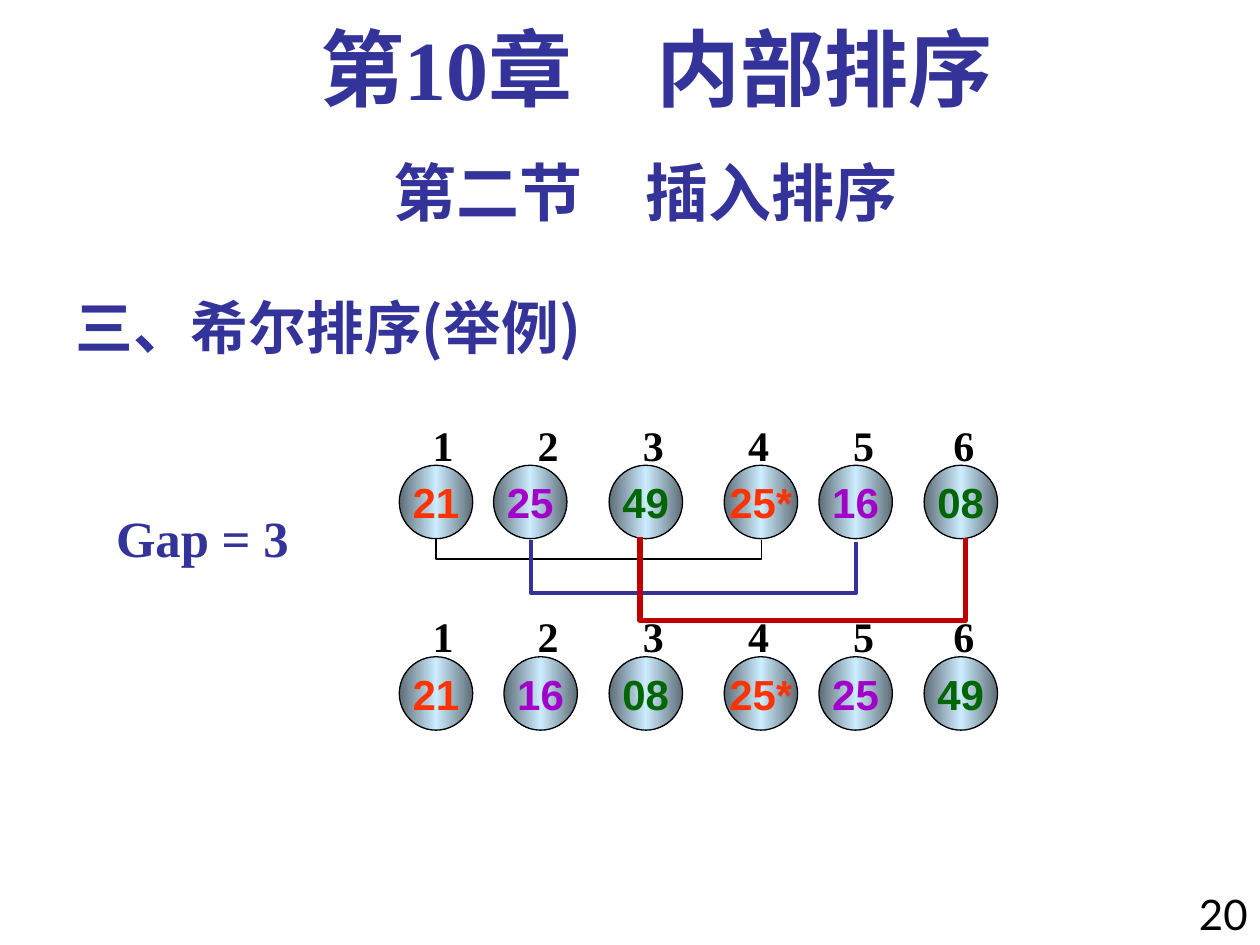
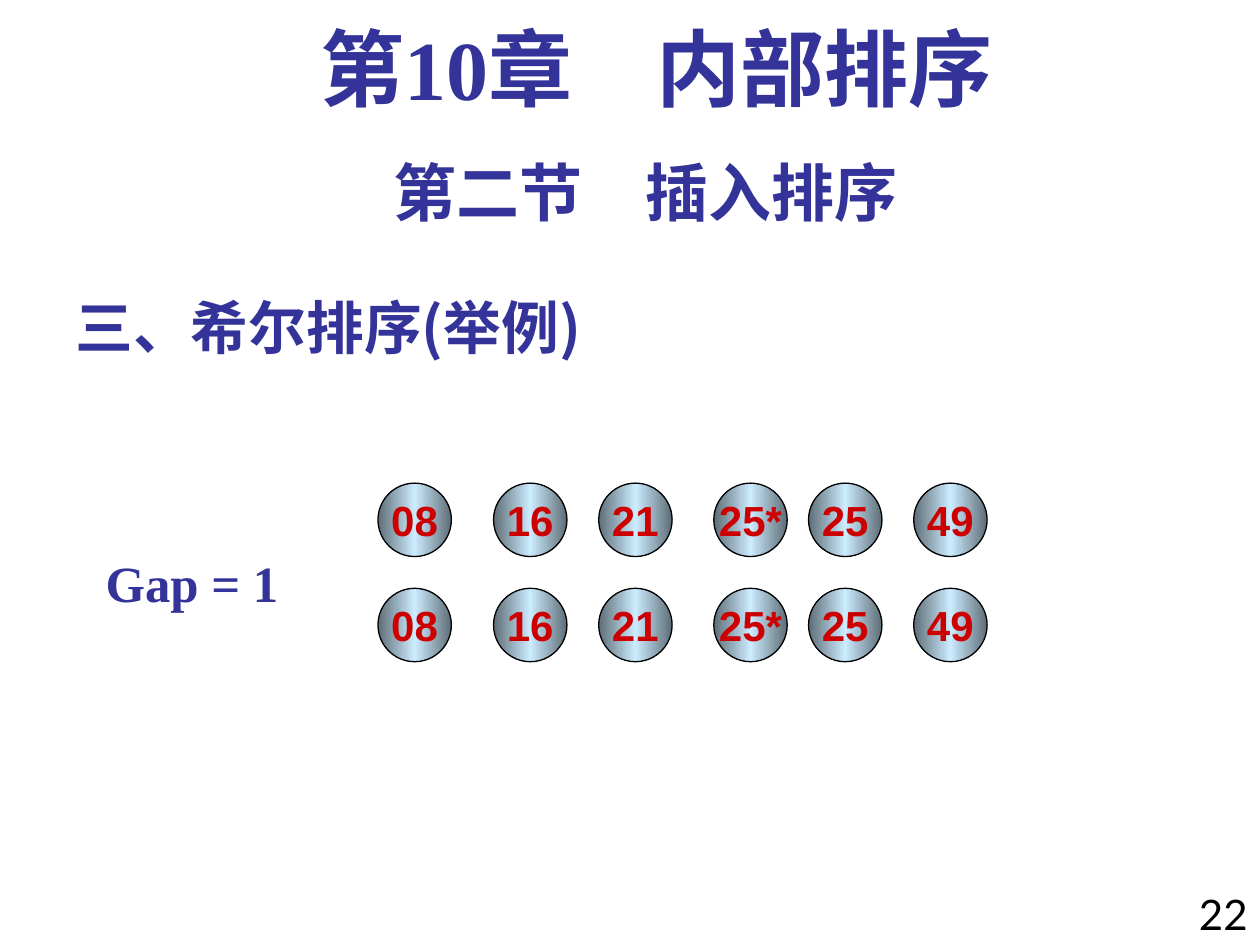
from copy import deepcopy

from pptx import Presentation
from pptx import util as u
from pptx.dml.color import RGBColor
from pptx.enum import shapes, text
from pptx.oxml import ns, xmlchemy

Cm, Pt = u.Cm, u.Pt

NAVY = RGBColor(0x33, 0x33, 0x99)
BLACK = RGBColor(0x00, 0x00, 0x00)
STEEL = RGBColor(0x5E, 0x6D, 0x76)
ICE = RGBColor(0xCC, 0xEC, 0xFF)
ORANGE = RGBColor(0xFF, 0x33, 0x00)
PURPLE = RGBColor(0xA2, 0x00, 0xC8)
GREEN = RGBColor(0x00, 0x66, 0x00)
RED = RGBColor(0xCC, 0x00, 0x00)
DARK_RED = RGBColor(0xC0, 0x00, 0x00)

SERIF = "Times New Roman"
SANS = "Arial"
PLAIN = "Lato"
CHINESE = "Noto Sans CJK SC"

BALL = 1.48
GROUP_COLORS = [ORANGE, PURPLE, GREEN] * 2
TAB_STOPS = [2.12, 4.24, 6.36, 8.48, 10.5]


def write(shape, content, *, size, font, color=NAVY, bold=True, align=text.PP_ALIGN.LEFT,
          anchor=text.MSO_ANCHOR.TOP, wrap=True, line_spacing=None, tabs=()):
    frame = shape.text_frame
    frame.word_wrap = wrap
    frame.vertical_anchor = anchor
    paragraph = frame.paragraphs[0]
    paragraph.alignment = align
    paragraph.line_spacing = line_spacing
    if tabs:
        tab_list = xmlchemy.OxmlElement("a:tabLst")
        for stop in tabs:
            tab = xmlchemy.OxmlElement("a:tab")
            tab.set("pos", str(Cm(stop)))
            tab.set("algn", "l")
            tab_list.append(tab)
        paragraph._p.get_or_add_pPr().append(tab_list)
    run = paragraph.add_run()
    run.text = content
    run.font.size = Pt(size)
    run.font.name = font
    run.font.bold = bold
    run.font.color.rgb = color
    east_asian = xmlchemy.OxmlElement("a:ea")
    east_asian.set("typeface", CHINESE)
    run.font._element.find(ns.qn("a:latin")).addnext(east_asian)


def add_label(slide, box, content, **style):
    shape = slide.shapes.add_textbox(*map(Cm, box))
    write(shape, content, **style)


def add_ball(slide, left, top, value, color):
    shape = slide.shapes.add_shape(
        shapes.MSO_SHAPE.OVAL, Cm(left), Cm(top), Cm(BALL), Cm(BALL))
    shape.shadow.inherit = False
    shape.line.color.rgb = BLACK
    shape.line.width = Pt(0.75)
    shape.fill.gradient()
    shape.fill.gradient_angle = 0
    stop_list = shape._element.spPr.find(".//" + ns.qn("a:gsLst"))
    stop_list.insert(1, deepcopy(stop_list[0]))
    for stop, position, shade in zip(shape.fill.gradient_stops, (0, 0.5, 1), (STEEL, ICE, STEEL)):
        stop.position = position
        stop.color.rgb = shade
    write(shape, value, size=24, font=SANS, color=color, wrap=False,
          align=text.PP_ALIGN.CENTER, anchor=text.MSO_ANCHOR.MIDDLE)


def add_ball_row(slide, left, top, offsets, values, colors):
    for offset, value, color in zip(offsets, values, colors):
        add_ball(slide, left + offset, top, value, color)


def add_index_row(slide, left, top):
    add_label(slide, (left, top, 12.5, 1.27), "\t".join("123456"),
              size=24, font=SERIF, color=BLACK, tabs=TAB_STOPS)


def add_bracket(slide, left, top, span, drop, color, width):
    thickness = 0.03
    center = left + span / 2
    connector = slide.shapes.add_connector(
        shapes.MSO_CONNECTOR.ELBOW,
        Cm(center - thickness / 2), Cm(top - span / 2),
        Cm(center + thickness / 2), Cm(top + span / 2))
    properties = connector._element.spPr
    transform = properties.find(ns.qn("a:xfrm"))
    transform.set("rot", "16200000")
    transform.set("flipH", "1")
    guide = xmlchemy.OxmlElement("a:gd")
    guide.set("name", "adj1")
    guide.set("fmla", f"val {round(drop / thickness * 100000)}")
    properties.find(".//" + ns.qn("a:avLst")).append(guide)
    connector.line.color.rgb = color
    connector.line.width = Pt(width)
    properties.append(xmlchemy.OxmlElement("a:effectLst"))


def add_gap_label(slide, left, top, gap):
    add_label(slide, (left, top, 4.01, 1.47), f"Gap = {gap}", size=29, font=SERIF, wrap=False)


def add_example_slide(presentation, number):
    slide = presentation.slides.add_slide(presentation.slide_layouts[6])
    center = text.PP_ALIGN.CENTER
    add_label(slide, (1.27, 5.53, 15.88, 1.88), "三、希尔排序(举例)",
              size=33, font=CHINESE, anchor=text.MSO_ANCHOR.BOTTOM)
    add_label(slide, (23.7, 17.78, 1.7, 1.47), str(number), size=24, font=PLAIN,
              color=BLACK, bold=False, align=text.PP_ALIGN.RIGHT)
    add_label(slide, (1.27, 2.97, 23.5, 1.78), "第二节　插入排序",
              size=36, font=PLAIN, align=center)
    add_label(slide, (1.7, 0.43, 23.07, 2.11), "第10章　内部排序",
              size=48, font=SERIF, align=center, line_spacing=0.9)
    return slide


def add_gap_three(slide, left, top):
    add_gap_label(slide, left - 5.96, top + 1.76, 3)
    before = [0, 1.9, 4.23, 6.55, 8.46, 10.58]
    after = [0, 2.11, 4.23, 6.55, 8.46, 10.58]
    add_index_row(slide, left + 0.42, top)
    add_ball_row(slide, left, top + 1.05, before,
                 ["21", "25", "49", "25*", "16", "08"], GROUP_COLORS)
    add_index_row(slide, left + 0.42, top + 3.86)
    add_ball_row(slide, left, top + 4.91, after,
                 ["21", "16", "08", "25*", "25", "49"], GROUP_COLORS)
    brackets = [
        (0.74, 2.55, 0.41, BLACK, 1),
        (2.65, 2.58, 1.06, NAVY, 2.25),
        (4.85, 2.51, 1.68, DARK_RED, 3),
    ]
    for offset, drop_from, drop, color, width in brackets:
        add_bracket(slide, left + offset, top + drop_from, 6.56, drop, color, width)


def add_gap_one(slide, left, top):
    add_gap_label(slide, left - 5.74, top + 1.25, 1)
    offsets = [0, 2.33, 4.45, 6.77, 8.68, 10.8]
    for row in range(2):
        add_ball_row(slide, left, top + row * 2.12, offsets,
                     ["08", "16", "21", "25*", "25", "49"], [RED] * 6)


def main():
    presentation = Presentation()
    presentation.slide_width = Cm(25.4)
    presentation.slide_height = Cm(19.05)
    add_gap_three(add_example_slide(presentation, 20), 8.05, 8.33)
    add_gap_one(add_example_slide(presentation, 22), 7.62, 9.74)
    presentation.save("out.pptx")


if __name__ == "__main__":
    main()
